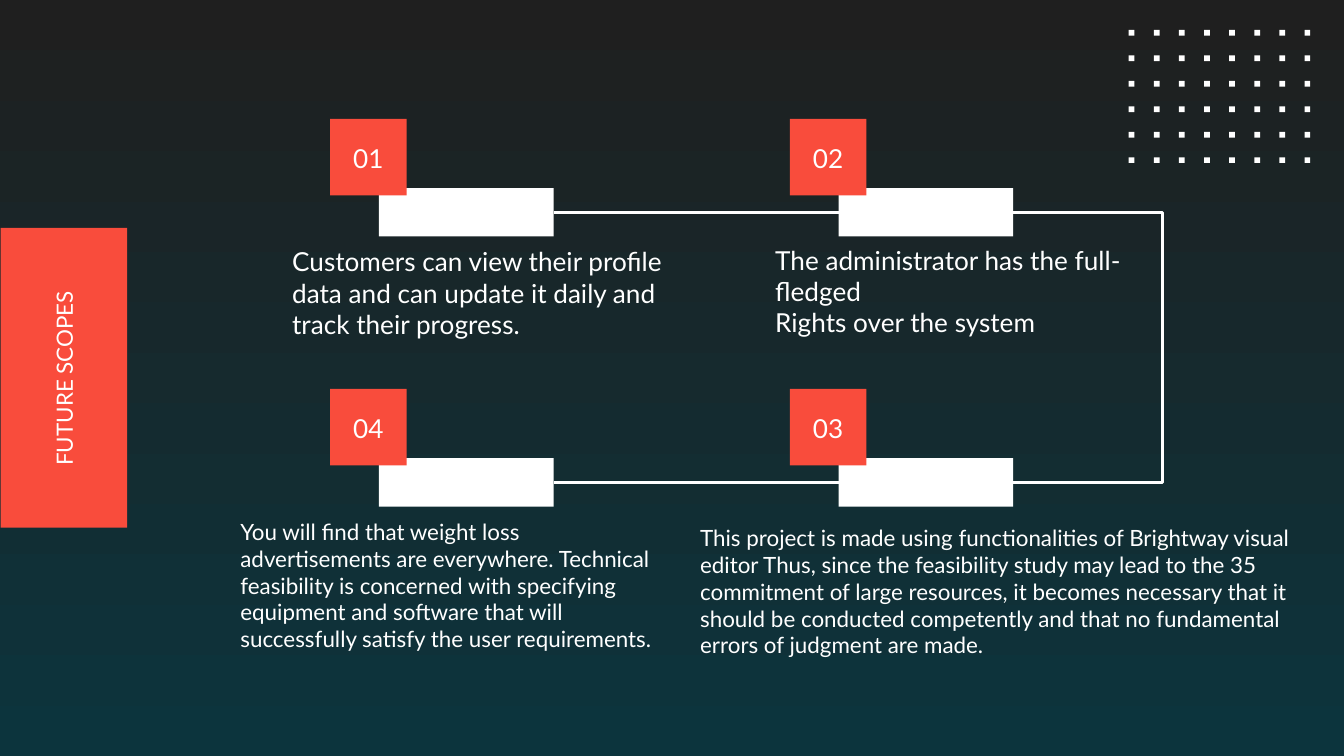
from lxml import etree
from pptx import Presentation
from pptx.dml.color import RGBColor
from pptx.enum import shapes, text
from pptx.oxml.ns import qn
from pptx.util import Pt

FONT, WHITE, RED = "Lato", "FFFFFF", "F94C3C"
TITLE = "FUTURE SCOPES"
STEPS = [
    {"number": "01", "col": 0, "row": 0, "box": (156.5, 131, 219.6, 50.4), "size": 14,
     "lines": ["Customers can view their profile data and can update it daily and track their progress."]},
    {"number": "02", "col": 1, "row": 0, "box": (415.3, 130, 188.6, 50.4), "size": 14,
     "lines": ["The administrator has the full-fledged", "Rights over the system"]},
    {"number": "03", "col": 1, "row": 1, "box": (375.1, 280.1, 321.8, 50.4), "size": 12,
     "lines": ["This project is made using functionalities of Brightway visual editor Thus, since the "
               "feasibility study may lead to the 35 commitment of large resources, it becomes necessary "
               "that it should be conducted competently and that no fundamental errors of judgment are made."]},
    {"number": "04", "col": 0, "row": 1, "box": (128.8, 276.8, 226.1, 50.4), "size": 12,
     "lines": ["You will find that weight loss advertisements are everywhere. Technical feasibility is "
               "concerned with specifying equipment and software that will successfully satisfy the user "
               "requirements."]},
]
BAR_X, BAR_Y, BAR_W, BAR_H = 203, 100.8, 93.6, 25.9
COL_STEP, ROW_STEP = 246.25, 144.7
BADGE_DX, BADGE_DY, BADGE = -26.1, -37.1, 41
DOT_X, DOT_Y, DOT_DX, DOT_DY, DOT = 604.7, 16, 13.45, 13.65, 3.1
BEND_X, BEND_W = 602, 0.05


def color(value):
    return RGBColor.from_string(value)


def add_rect(parent, x, y, w, h, fill):
    sp = parent.add_shape(shapes.MSO_SHAPE.RECTANGLE, Pt(x), Pt(y), Pt(w), Pt(h))
    sp.shadow.inherit = False
    sp.fill.solid()
    sp.fill.fore_color.rgb = color(fill)
    sp.line.fill.background()
    return sp


def write(sp, lines, size, align, anchor, margins):
    tf = sp.text_frame
    tf.word_wrap = True
    tf.auto_size = text.MSO_AUTO_SIZE.NONE
    tf.vertical_anchor = anchor
    tf.margin_left, tf.margin_top, tf.margin_right, tf.margin_bottom = map(Pt, margins)
    for i, line in enumerate(lines):
        p = tf.paragraphs[0] if i == 0 else tf.add_paragraph()
        p.alignment = align
        r = p.add_run()
        r.text = line
        r.font.name, r.font.size = FONT, Pt(size)
        r.font.color.rgb = color(WHITE)


def add_line(kind, x1, y1, x2, y2):
    line = s.shapes.add_connector(kind, Pt(x1), Pt(y1), Pt(x2), Pt(y2))
    line.line.color.rgb = color(WHITE)
    line.line.width = Pt(1.5)
    etree.SubElement(line._element.spPr, qn("a:effectLst"))
    return line


def join(start, start_side, end, end_side):
    line = add_line(shapes.MSO_CONNECTOR.STRAIGHT, 0, 0, 0, 0)
    line.begin_connect(start, start_side)
    line.end_connect(end, end_side)


prs = Presentation()
prs.slide_width, prs.slide_height = Pt(720), Pt(405)
s = prs.slides.add_slide(prs.slide_layouts[5])
fill = s.background.fill
fill.gradient()
fill.gradient_angle = 270
for stop, value in zip(fill.gradient_stops, ("1F1F1F", "0C343D")):
    stop.color.rgb = color(value)

dots = s.shapes.add_group_shape()
for row in range(6):
    for col in range(8):
        add_rect(dots.shapes, DOT_X + col * DOT_DX, DOT_Y + row * DOT_DY, DOT, DOT, WHITE)

panel = add_rect(s.shapes, -46.1, 168.5, 160.6, 67.7, RED)
panel.rotation = 90
title = s.shapes.title
title.left, title.top, title.width, title.height = map(Pt, (-123.8, 180, 316.1, 45.4))
title.rotation = 270
write(title, [TITLE], 12, text.PP_ALIGN.CENTER, text.MSO_ANCHOR.MIDDLE, (7.2, 7.2, 7.2, 7.2))
panel._element.addnext(title._element)

bars = []
for step in STEPS:
    x, y = BAR_X + step["col"] * COL_STEP, BAR_Y + step["row"] * ROW_STEP
    bars.append(add_rect(s.shapes, x, y, BAR_W, BAR_H, WHITE))
    badge = add_rect(s.shapes, x + BADGE_DX, y + BADGE_DY, BADGE, BADGE, RED)
    write(badge, [step["number"]], 14, text.PP_ALIGN.CENTER, text.MSO_ANCHOR.MIDDLE, (0, 0.7, 0, 0))
    body = s.shapes.add_textbox(*map(Pt, step["box"]))
    write(body, step["lines"], step["size"], text.PP_ALIGN.LEFT, text.MSO_ANCHOR.TOP, (0, 0.7, 0, 0))

join(bars[0], 3, bars[1], 1)
join(bars[2], 1, bars[3], 3)
bar_right, mid_y = BAR_X + COL_STEP + BAR_W, BAR_Y + BAR_H / 2
bend = add_line(shapes.MSO_CONNECTOR.ELBOW, bar_right, mid_y, bar_right + BEND_W, mid_y + ROW_STEP)
guides = bend._element.spPr.find(qn("a:prstGeom")).get_or_add_avLst()
reach = round((BEND_X + 11.5 - bar_right) / BEND_W * 100000)
etree.SubElement(guides, qn("a:gd"), name="adj1", fmla=f"val {reach}")

prs.save("out.pptx")
